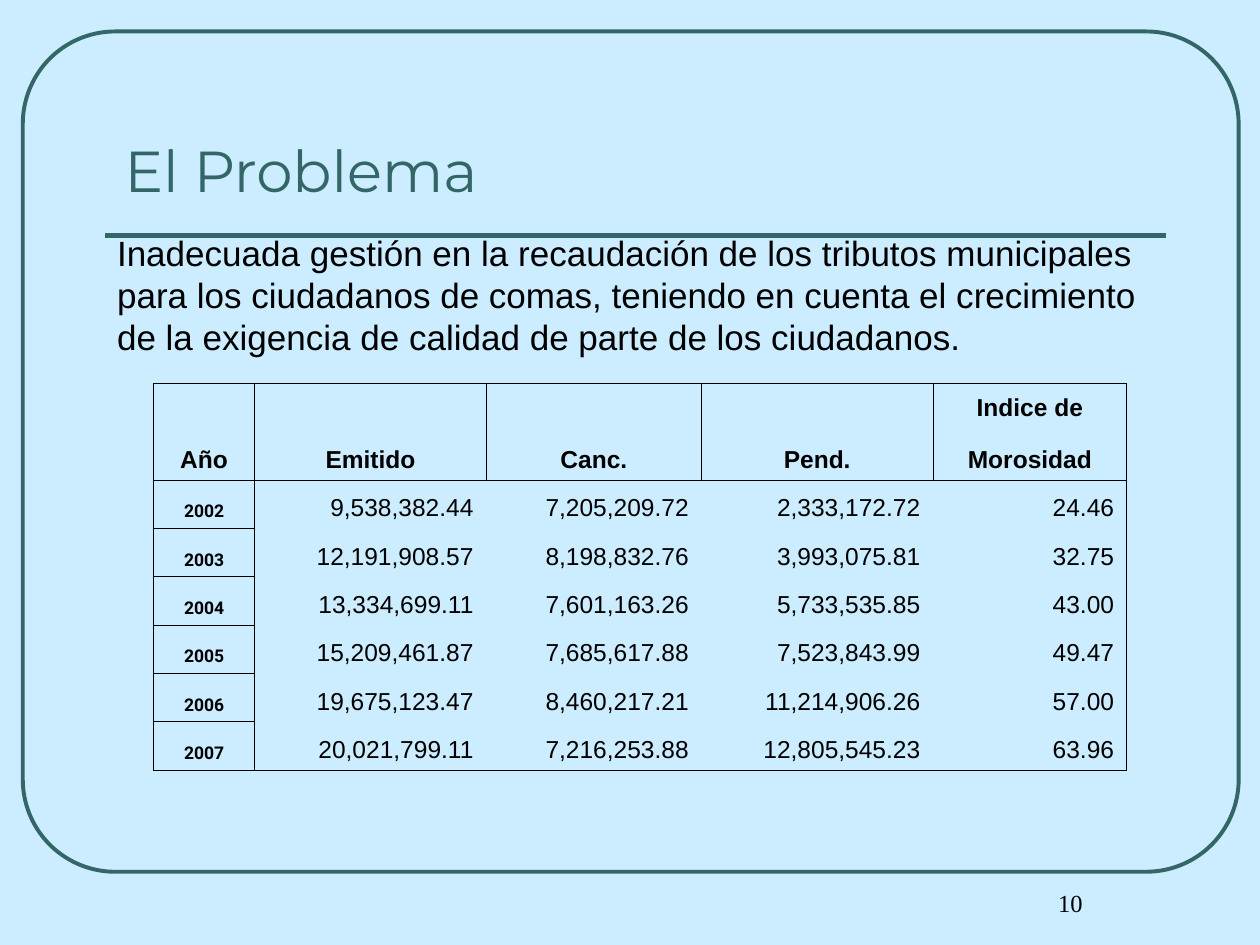
from dataclasses import dataclass
from typing import Any, NamedTuple

import lxml.etree
import pptx
import pptx.dml.color
import pptx.enum.shapes
import pptx.enum.text
import pptx.oxml.ns
import pptx.util

Pt = pptx.util.Pt
Align = pptx.enum.text.PP_ALIGN
Anchor = pptx.enum.text.MSO_ANCHOR
qn = pptx.oxml.ns.qn


@dataclass(frozen=True)
class Theme:
    background: str = "CCECFF"
    accent: str = "336666"
    ink: str = "000000"
    title_font: str = "Montserrat"
    body_font: str = "Arial"
    year_font: str = "Roboto"
    number_font: str = "Times New Roman"
    title_size: float = 33
    body_size: float = 20
    table_size: float = 14
    year_size: float = 10
    frame_width: float = 2.25
    rule_width: float = 3
    border_width: float = 0.45


THEME = Theme()


class Style(NamedTuple):
    font: str
    size: float
    color: str = THEME.ink
    bold: bool = False
    align: Any = Align.LEFT


class TextBox(NamedTuple):
    text: str
    left: float
    top: float
    width: float
    height: float
    style: Style
    anchor: Any = Anchor.TOP
    margin_left: float = 7.2


TEXT_BOXES = [
    TextBox("El Problema", 64.1, 47.5, 598.3, 72.7,
            Style(THEME.title_font, THEME.title_size, THEME.accent), Anchor.BOTTOM),
    TextBox("Inadecuada gestión en la recaudación de los tributos municipales para los "
            "ciudadanos de comas, teniendo en cuenta el crecimiento de la exigencia de "
            "calidad de parte de los ciudadanos.", 59.8, 128.9, 612.7, 79.2,
            Style(THEME.body_font, THEME.body_size)),
    TextBox("10", 540, 504, 126, 36,
            Style(THEME.number_font, THEME.table_size, align=Align.CENTER),
            margin_left=24.5),
]

HEADER = Style(THEME.body_font, THEME.table_size, bold=True, align=Align.CENTER)
YEAR = Style(THEME.year_font, THEME.year_size, bold=True, align=Align.CENTER)
AMOUNT = Style(THEME.body_font, THEME.table_size, align=Align.RIGHT)

HEADER_ROWS = 2
COLUMN_WIDTHS = [58, 132.3, 123, 132.3, 110.7]
ROW_HEIGHT = 27.63
TABLE_LEFT, TABLE_TOP = 87.6, 219.1
TABLE_ROWS = [
    ["", "", "", "", "Indice de"],
    ["Año", "Emitido", "Canc.", "Pend.", "Morosidad"],
    ["2002", "9,538,382.44", "7,205,209.72", "2,333,172.72", "24.46"],
    ["2003", "12,191,908.57", "8,198,832.76", "3,993,075.81", "32.75"],
    ["2004", "13,334,699.11", "7,601,163.26", "5,733,535.85", "43.00"],
    ["2005", "15,209,461.87", "7,685,617.88", "7,523,843.99", "49.47"],
    ["2006", "19,675,123.47", "8,460,217.21", "11,214,906.26", "57.00"],
    ["2007", "20,021,799.11", "7,216,253.88", "12,805,545.23", "63.96"],
]


def rgb(color: str) -> pptx.dml.color.RGBColor:
    return pptx.dml.color.RGBColor.from_string(color)


def apply_format(target: Any, values: dict[str, Any]) -> None:
    for name, value in values.items():
        setattr(target, name, value)


def write_text(frame: Any, text: str, style: Style) -> None:
    para = frame.paragraphs[0]
    para.alignment = style.align
    span = para.add_run()
    span.text = text
    apply_format(span.font, {"name": style.font, "size": Pt(style.size), "bold": style.bold})
    span.font.color.rgb = rgb(style.color)


def draw_text_box(page: Any, item: TextBox) -> None:
    box = page.shapes.add_textbox(Pt(item.left), Pt(item.top), Pt(item.width), Pt(item.height))
    apply_format(box.text_frame, {
        "word_wrap": True,
        "vertical_anchor": item.anchor,
        "margin_left": Pt(item.margin_left),
    })
    write_text(box.text_frame, item.text, item.style)


def draw_frame(page: Any) -> None:
    frame = page.shapes.add_shape(pptx.enum.shapes.MSO_SHAPE.ROUNDED_RECTANGLE,
                                  Pt(13), Pt(18), Pt(694.8), Pt(480.2))
    frame.adjustments[0] = 0.11
    frame.shadow.inherit = False
    frame.fill.background()
    frame.line.color.rgb = rgb(THEME.accent)
    frame.line.width = Pt(THEME.frame_width)


def draw_title_rule(page: Any) -> None:
    rule = page.shapes.add_connector(pptx.enum.shapes.MSO_CONNECTOR.STRAIGHT,
                                     Pt(60), Pt(134.6), Pt(666), Pt(134.6))
    rule.line.color.rgb = rgb(THEME.accent)
    rule.line.width = Pt(THEME.rule_width)
    lxml.etree.SubElement(rule._element.spPr, qn("a:effectLst"))


def cell_borders(row: int, column: int) -> dict[str, bool]:
    """Box the header and each year; outline the amounts as one block."""
    header = row < HEADER_ROWS
    year = column == 0 and not header
    last_row, last_column = len(TABLE_ROWS) - 1, len(COLUMN_WIDTHS) - 1
    return {
        "a:lnL": header or column <= 1,
        "a:lnR": header or column in (0, last_column),
        "a:lnT": year or row in (0, HEADER_ROWS),
        "a:lnB": year or row in (HEADER_ROWS - 1, last_row),
    }


def set_borders(cell: Any, borders: dict[str, bool]) -> None:
    properties = cell._tc.get_or_add_tcPr()
    for tag, visible in borders.items():
        border = lxml.etree.SubElement(properties, qn(tag), w=str(int(Pt(THEME.border_width))))
        if visible:
            fill = lxml.etree.SubElement(border, qn("a:solidFill"))
            lxml.etree.SubElement(fill, qn("a:srgbClr"), val=THEME.ink)
        else:
            lxml.etree.SubElement(border, qn("a:noFill"))


def draw_cell(cell: Any, text: str, row: int, column: int) -> None:
    set_borders(cell, cell_borders(row, column))
    cell.fill.background()
    padding = Pt(3.6 if text else 0)
    apply_format(cell, {
        "vertical_anchor": Anchor.MIDDLE if row == 0 else Anchor.BOTTOM,
        "margin_top": padding,
        "margin_bottom": padding,
    })
    if text:
        style = HEADER if row < HEADER_ROWS else YEAR if column == 0 else AMOUNT
        write_text(cell.text_frame, text, style)


def draw_table(page: Any) -> None:
    table = page.shapes.add_table(
        len(TABLE_ROWS), len(COLUMN_WIDTHS), Pt(TABLE_LEFT), Pt(TABLE_TOP),
        Pt(sum(COLUMN_WIDTHS)), Pt(ROW_HEIGHT * len(TABLE_ROWS))).table
    apply_format(table, {"first_row": False, "horz_banding": False})
    for column, width in zip(table.columns, COLUMN_WIDTHS):
        column.width = Pt(width)
    for row, texts in enumerate(TABLE_ROWS):
        table.rows[row].height = Pt(ROW_HEIGHT)
        for column, text in enumerate(texts):
            draw_cell(table.cell(row, column), text, row, column)


def main() -> None:
    deck = pptx.Presentation()
    apply_format(deck, {"slide_width": Pt(720), "slide_height": Pt(540)})
    page = deck.slides.add_slide(deck.slide_layouts[6])
    page.background.fill.solid()
    page.background.fill.fore_color.rgb = rgb(THEME.background)
    draw_frame(page)
    draw_title_rule(page)
    for item in TEXT_BOXES:
        draw_text_box(page, item)
    draw_table(page)
    deck.save("out.pptx")


if __name__ == "__main__":
    main()
